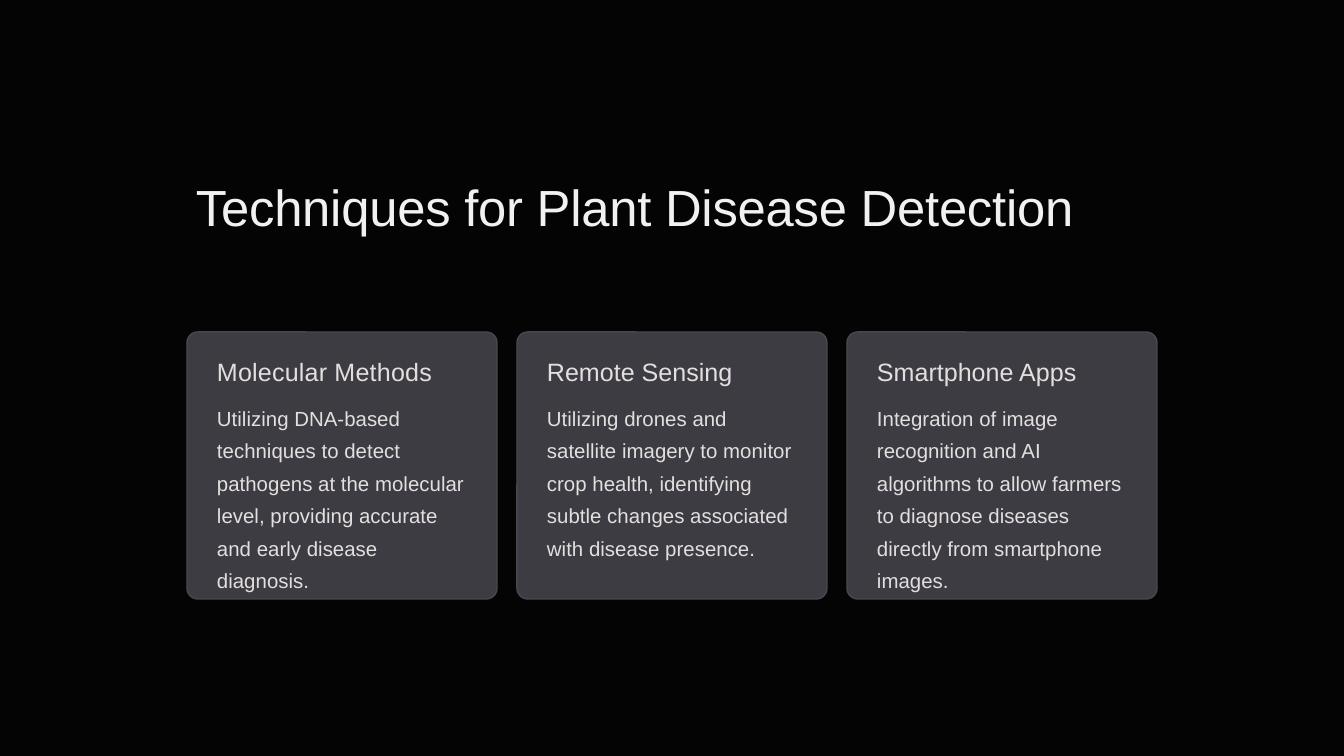
from pptx import Presentation
from pptx.util import Pt
from pptx.dml.color import RGBColor
from pptx.enum.shapes import MSO_SHAPE

ROUND = MSO_SHAPE.ROUNDED_RECTANGLE
HUES = {"back": "040404", "title": "F1F1F3", "card": "3C3C42",
        "edge": "484850", "text": "E4DFDF"}
CARDS = [
    ("Molecular Methods", 20,
     "Utilizing DNA-based techniques to detect pathogens at the molecular "
     "level, providing accurate and early disease diagnosis."),
    ("Remote Sensing", 2,
     "Utilizing drones and satellite imagery to monitor crop health, "
     "identifying subtle changes associated with disease presence."),
    ("Smartphone Apps", 4,
     "Integration of image recognition and AI algorithms to allow farmers "
     "to diagnose diseases directly from smartphone images."),
]


def px(*nums):
    return [round(n * 914400 / 84) for n in nums]


def write(frame, text, size, hue="text", gap=0, line=None, track=0, new=False):
    para = frame.add_paragraph() if new else frame.paragraphs[0]
    para.space_before = Pt(gap)
    if line:
        para.line_spacing = line
    run = para.add_run()
    run.text = text
    run.font.size = Pt(size)
    run.font.name = "Arial"
    run.font.color.rgb = RGBColor.from_string(HUES[hue])
    run.font._element.set("spc", str(track))
    frame.word_wrap = True
    frame.margin_left = frame.margin_right = frame.margin_bottom = 0
    frame.margin_top = px(2)[0]


deck = Presentation()
deck.slide_width, deck.slide_height = px(1344, 756)
slide = deck.slides.add_slide(deck.slide_layouts[6])
fill = slide.background.fill
fill.solid()
fill.fore_color.rgb = RGBColor.from_string(HUES["back"])

title = slide.shapes.add_textbox(*px(196, 174, 890, 64))
write(title.text_frame, "Techniques for Plant Disease Detection", 43.5,
      hue="title", gap=1.1, track=-23)

for i, (head, track, body) in enumerate(CARDS):
    left = 187 + 330 * i
    card = slide.shapes.add_shape(ROUND, *px(left, 332, 310, 267))
    card.adjustments[0] = 0.04
    card.shadow.inherit = False
    card.fill.solid()
    card.fill.fore_color.rgb = RGBColor.from_string(HUES["card"])
    card.line.color.rgb = RGBColor.from_string(HUES["edge"])
    card.line.width = Pt(1.2)

    box = slide.shapes.add_textbox(*px(left + 30, 354, 252, 240))
    write(box.text_frame, head, 21.5, gap=1.4, track=track)
    write(box.text_frame, body, 17.5, gap=10, line=1.33, track=4, new=True)

deck.save("out.pptx")
